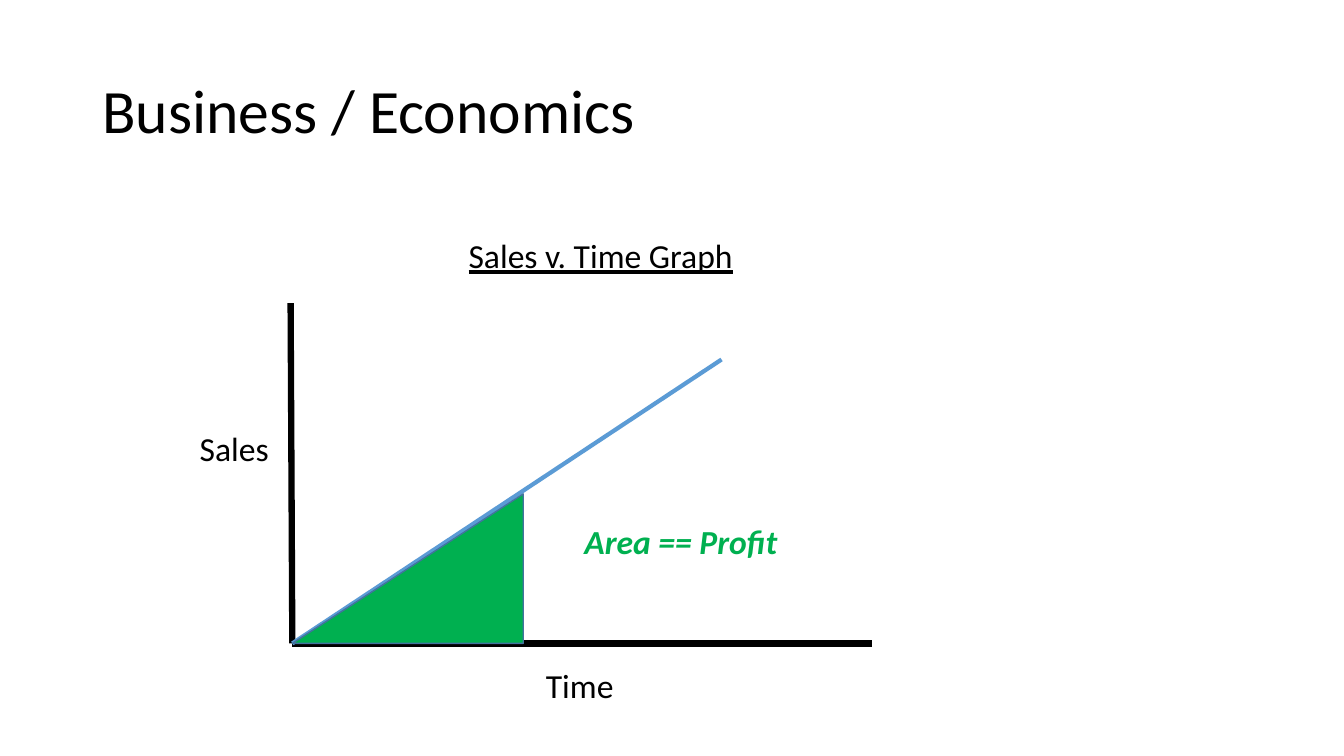
import dataclasses

import pptx
import pptx.dml.color
import pptx.enum.shapes
import pptx.enum.text
import pptx.oxml.ns
import pptx.util
from lxml import etree


@dataclasses.dataclass(frozen=True)
class Theme:
    font: str = "Calibri"
    ink: str = "000000"
    trend: str = "5B9BD5"
    profit: str = "00B050"
    edge: str = "43739E"
    title: float = 44
    label: float = 24
    axis: float = 4.5
    line: float = 3
    rim: float = 1


THEME = Theme()
WIDE = pptx.util.Inches(13.33)
HIGH = pptx.util.Inches(7.5)
COLS, ROWS = 16, 9


def col(n):
    return round(WIDE * n / COLS)


def row(n):
    return round(HIGH * n / ROWS)


def rgb(code):
    return pptx.dml.color.RGBColor.from_string(code)


def box(x, y, w, h):
    return col(x), row(y), col(w), row(h)


def text(slide, area, words, size=THEME.label, color=THEME.ink, bold=None,
         italic=None, under=None, wrap=False):
    frame = slide.shapes.add_textbox(*box(*area)).text_frame
    frame.word_wrap = wrap
    part = frame.paragraphs[0]
    run = part.add_run()
    run.text = words
    font = run.font
    font.name = THEME.font
    font.size = pptx.util.Pt(size)
    font.color.rgb = rgb(color)
    font.bold, font.italic, font.underline = bold, italic, under
    return frame


def title(slide, area, words):
    frame = text(slide, area, words, size=THEME.title, wrap=True)
    frame.vertical_anchor = pptx.enum.text.MSO_ANCHOR.MIDDLE
    frame.paragraphs[0].line_spacing = 0.9


def label(slide, area, words, **style):
    frame = text(slide, area, words, **style)
    frame.auto_size = pptx.enum.text.MSO_AUTO_SIZE.SHAPE_TO_FIT_TEXT


def line(shapes, start, end, color, width):
    kind = pptx.enum.shapes.MSO_CONNECTOR.STRAIGHT
    link = shapes.add_connector(
        kind, col(start[0]), row(start[1]), col(end[0]), row(end[1]))
    link.line.color.rgb = rgb(color)
    link.line.width = pptx.util.Pt(width)
    props = link._element.spPr
    etree.SubElement(props, pptx.oxml.ns.qn("a:effectLst"))


def wedge(slide, area):
    kind = pptx.enum.shapes.MSO_SHAPE.ISOSCELES_TRIANGLE
    shape = slide.shapes.add_shape(kind, *box(*area))
    shape.adjustments[0] = 1
    shape.shadow.inherit = False
    shape.fill.solid()
    shape.fill.fore_color.rgb = rgb(THEME.profit)
    shape.line.color.rgb = rgb(THEME.edge)
    shape.line.width = pptx.util.Pt(THEME.rim)


def main():
    deck = pptx.Presentation()
    deck.slide_width, deck.slide_height = WIDE, HIGH
    slide = deck.slides.add_slide(deck.slide_layouts[6])
    zero = 3.48, 7.66

    title(slide, (1.1, 0.48, 13.8, 1.74), "Business / Economics")
    axes = slide.shapes.add_group_shape().shapes
    line(axes, (3.46, 3.61), zero, THEME.ink, THEME.axis)
    line(axes, zero, (10.38, zero[1]), THEME.ink, THEME.axis)
    label(slide, (2.26, 5.03, 1.07, 0.6), "Sales")
    label(slide, (6.38, 7.86, 1.06, 0.6), "Time")
    label(slide, (5.46, 2.74, 3.42, 0.6), "Sales v. Time Graph", under=True)
    line(slide.shapes, zero, (8.59, 4.28), THEME.trend, THEME.line)
    wide, high = 2.75, 1.78
    wedge(slide, (zero[0], zero[1] - high, wide, high))
    label(slide, (6.84, 6.14, 2.57, 0.6), "Area == Profit",
          color=THEME.profit, bold=True, italic=True)
    deck.save("out.pptx")


if __name__ == "__main__":
    main()
